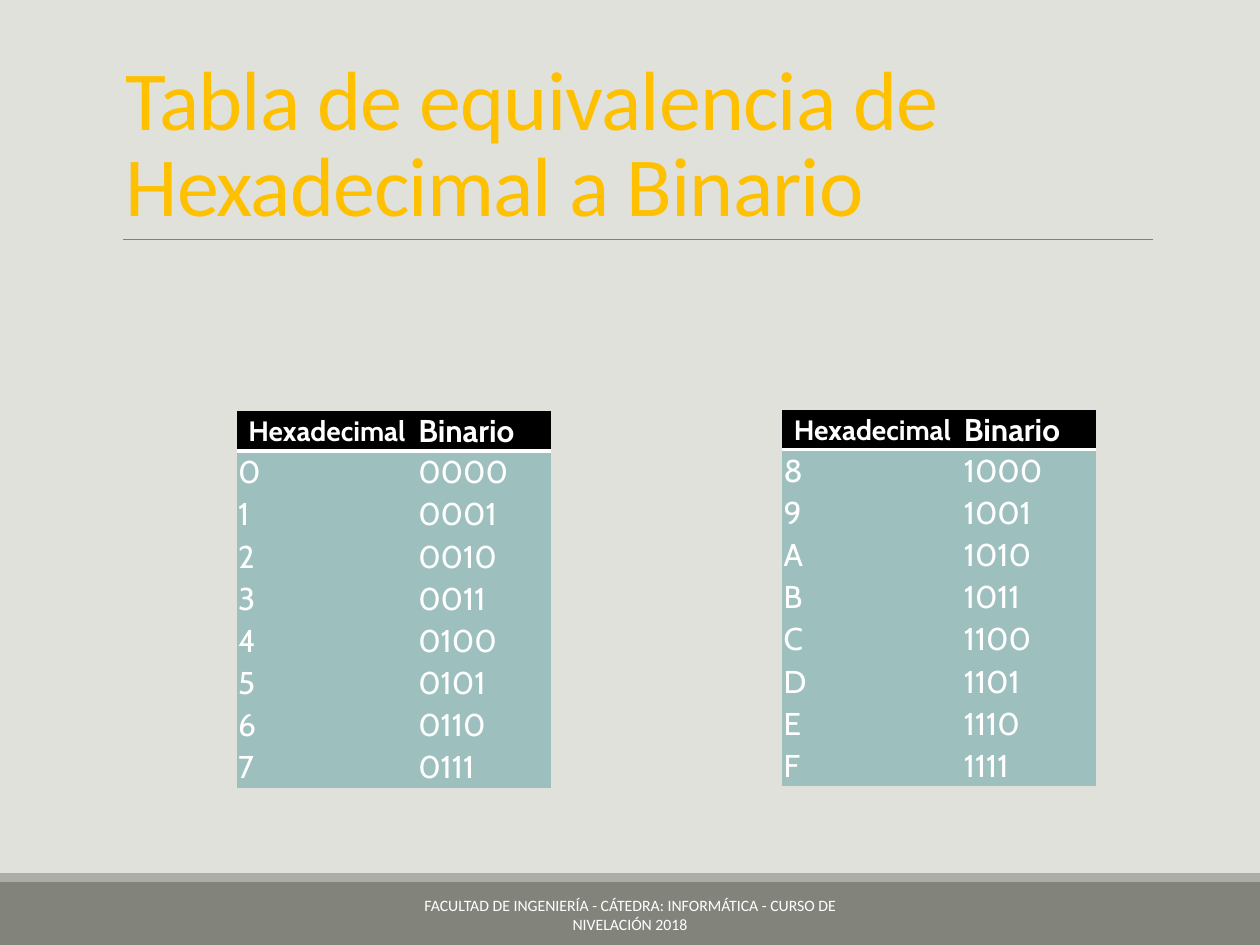
from lxml import etree
from pptx import Presentation
from pptx import util as u
from pptx.dml.color import RGBColor
from pptx.enum import shapes, text
from pptx.oxml import ns, parse_xml

COLORS = {"bg": "E1E1DB", "footer": "82847C", "strip": "ACADA8", "rule": "808080",
          "title": "FFC000", "white": "FFFFFF", "header": "000000", "body": "9DBFBE"}
COLS, ROWS = 100, 75
NO_STYLE = "{2D5ABB26-0587-4C30-8999-92F81FD0307C}"


def rgb(name):
    return RGBColor.from_string(COLORS[name])


class Deck:
    """Style and current slide; lengths are columns and rows of a 100 x 75 grid."""

    def __init__(self):
        self.prs = Presentation()
        self.prs.slide_width, self.prs.slide_height = u.Inches(10), u.Inches(7.5)
        self.s = self.prs.slides.add_slide(self.prs.slide_layouts[6])
        self.fill(self.s.background, "bg")

    def x(self, cols):
        return round(self.prs.slide_width * cols / COLS)

    def y(self, rows):
        return round(self.prs.slide_height * rows / ROWS)

    def box(self, left, top, width, height):
        return self.x(left), self.y(top), self.x(width), self.y(height)

    def fill(self, target, color):
        target.fill.solid()
        target.fill.fore_color.rgb = rgb(color)

    def add_words(self, p, words, color, para=None, **font):
        r = p.add_run()
        r.text = words
        r.font.color.rgb = rgb(color)
        for target, values in ((p, para or {}), (r.font, font)):
            for name, value in values.items():
                setattr(target, name, value)
        return r

    def rect(self, box, color):
        sp = self.s.shapes.add_shape(shapes.MSO_SHAPE.RECTANGLE, *self.box(*box))
        sp.shadow.inherit = False
        self.fill(sp, color)
        sp.line.fill.background()

    def rule(self, left, right, row, color, width):
        line = self.s.shapes.add_connector(
            shapes.MSO_CONNECTOR.STRAIGHT, self.x(left), self.y(row), self.x(right), self.y(row))
        line.line.color.rgb = rgb(color)
        line.line.width = u.Pt(width)
        etree.SubElement(line._element.spPr, ns.qn("a:effectLst"))

    def text(self, box, words, color, anchor, para, spacing=0, **font):
        tf = self.s.shapes.add_textbox(*self.box(*box)).text_frame
        tf.word_wrap = True
        tf.vertical_anchor = anchor
        r = self.add_words(tf.paragraphs[0], words, color, para, **font)
        if spacing:
            r._r.get_or_add_rPr().set("spc", str(round(spacing * 100)))

    def bottom_border(self, cell, color, width):
        border = parse_xml(
            f'<a:lnB {ns.nsdecls("a")} w="{u.Pt(width)}"><a:solidFill>'
            f'<a:srgbClr val="{COLORS[color]}"/></a:solidFill></a:lnB>')
        cell._tc.get_or_add_tcPr().insert(0, border)

    def table(self, left, top, widths, heights, rows):
        frame = self.s.shapes.add_table(
            len(rows), len(widths), *self.box(left, top, sum(widths), sum(heights)))
        table = frame.table
        table._tbl.tblPr.find(ns.qn("a:tableStyleId")).text = NO_STYLE
        for column, width in zip(table.columns, widths):
            column.width = self.x(width)
        for row, height in zip(table.rows, heights):
            row.height = self.y(height)
        margin = u.Inches(0.01)
        layout = {"margin_left": margin, "margin_right": margin, "margin_top": margin,
                  "margin_bottom": 0, "vertical_anchor": text.MSO_ANCHOR.MIDDLE}
        for i, values in enumerate(rows):
            for j, value in enumerate(values):
                cell, is_header = table.cell(i, j), i == 0
                key_header = is_header and j == 0
                for name, setting in layout.items():
                    setattr(cell, name, setting)
                self.fill(cell, "header" if is_header else "body")
                if is_header:
                    self.bottom_border(cell, "white", 2)
                align = text.PP_ALIGN.CENTER if key_header else text.PP_ALIGN.LEFT
                self.add_words(cell.text_frame.paragraphs[0], value, "white",
                               {"alignment": align}, name="Cabin",
                               size=u.Pt(16 if key_header else 18), bold=is_header)


def main():
    deck = Deck()
    deck.rect((0, 70, 100, 5), "footer")
    deck.rect((0, 69.3, 100, 0.7), "strip")
    deck.rule(9.8, 91.5, 19, "rule", 0.5)
    deck.text((9, 3.1, 82.5, 15.9), "Tabla de equivalencia de Hexadecimal a Binario", "title",
              text.MSO_ANCHOR.BOTTOM, {"line_spacing": 0.85}, spacing=-0.5,
              name="Calibri", size=u.Pt(48))
    for left, top, first in ((18.8, 32.6, 0), (62.1, 32.5, 8)):
        digits = [(f"{n:X}", f"{n:04b}") for n in range(first, first + 8)]
        deck.table(left, top, (14.3, 10.6), [3.2] + [3.34] * 8,
                   [("Hexadecimal", "Binario")] + digits)
    deck.text((30.2, 70.6, 39.6, 4),
              "FACULTAD DE INGENIERÍA - CÁTEDRA: INFORMÁTICA - CURSO DE NIVELACIÓN 2018",
              "white", text.MSO_ANCHOR.MIDDLE, {"alignment": text.PP_ALIGN.CENTER},
              name="Calibri", size=u.Pt(9))
    deck.prs.save("out.pptx")


if __name__ == "__main__":
    main()
